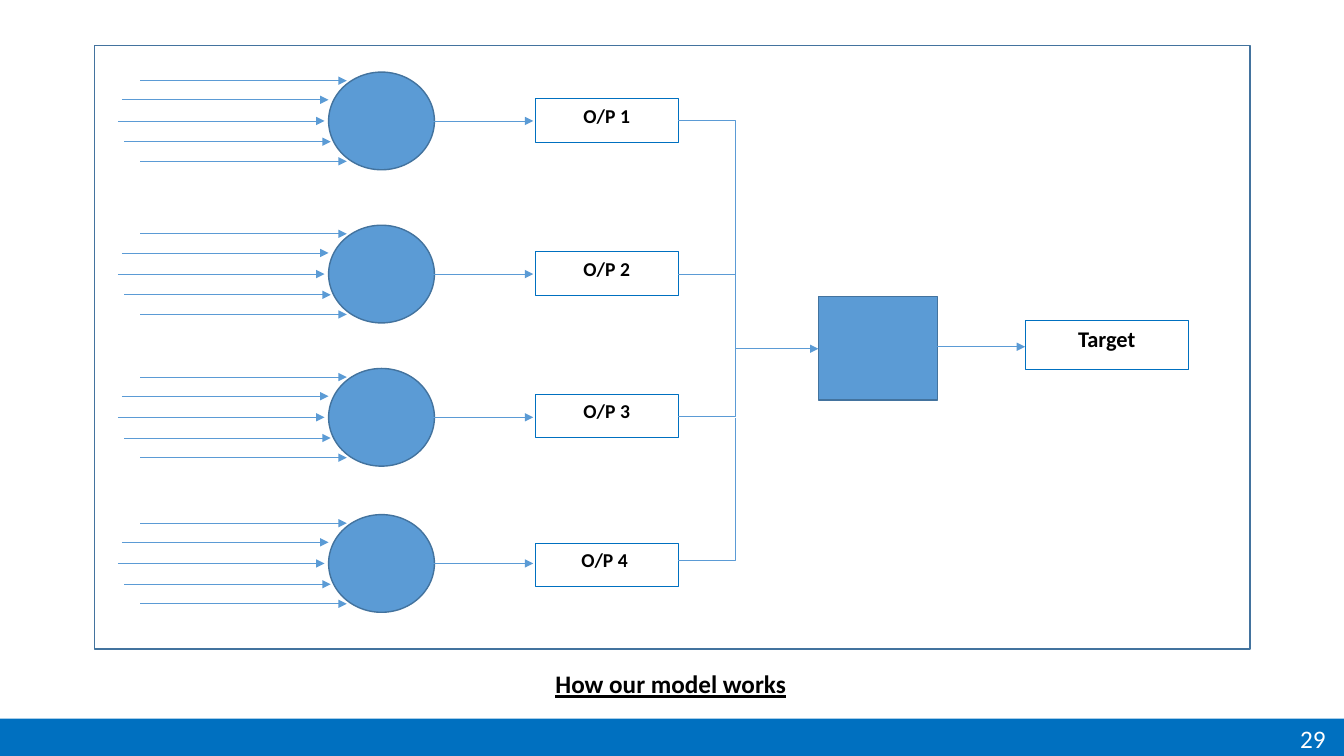
import pptx
import pptx.util
import pptx.dml.color
import pptx.enum.shapes
import pptx.enum.text
import pptx.oxml.ns
import lxml.etree

Pt = pptx.util.Pt
RGBColor = pptx.dml.color.RGBColor
Shape = pptx.enum.shapes.MSO_SHAPE
Connector = pptx.enum.shapes.MSO_CONNECTOR
Align = pptx.enum.text.PP_ALIGN
qn = pptx.oxml.ns.qn

BLUE = RGBColor(0x5B, 0x9B, 0xD5)
EDGE = RGBColor(0x43, 0x73, 0x9E)
BAR = RGBColor(0x00, 0x70, 0xC0)
BLACK = RGBColor(0, 0, 0)
WHITE = RGBColor(255, 255, 255)

CAPTION = "How our model works"
PAGE_NUMBER = "29"
TARGET = "Target"
MODELS = [
    ("O/P 1", 86.4, 70.6),
    ("O/P 2", 195.8, 180),
    ("O/P 3", 298.1, 281.5),
    ("O/P 4 ", 402.5, 388.1),
]
INPUTS = [(100.1, -28.8), (87.1, -15.1), (84.2, 0), (88.6, 14.8), (100.1, 28.8)]

INPUT_LENGTH = 147.6
NODE_LEFT, NODE_WIDTH, NODE_HEIGHT = 234.7, 75.6, 69.8
BOX_LEFT, BOX_WIDTH, BOX_HEIGHT = 382.3, 102.2, 31
BUS_X, JOIN_Y = 525.6, 249.1

deck = pptx.Presentation()
deck.slide_width, deck.slide_height = Pt(960), Pt(540)
page = deck.slides.add_slide(deck.slide_layouts[5])


def add_block(kind, left, top, width, height, fill=None, edge=None, weight=1):
    block = page.shapes.add_shape(kind, Pt(left), Pt(top), Pt(width), Pt(height))
    block.shadow.inherit = False
    if fill is None:
        block.fill.background()
    else:
        block.fill.solid()
        block.fill.fore_color.rgb = fill
    if edge is None:
        block.line.fill.background()
    else:
        block.line.color.rgb = edge
        block.line.width = Pt(weight)
    return block


def write(box, text, size, color, align, bold=False, wrap=True):
    frame = box.text_frame
    frame.text = text
    frame.word_wrap = wrap
    frame.auto_size = pptx.enum.text.MSO_AUTO_SIZE.NONE
    frame.vertical_anchor = pptx.enum.text.MSO_ANCHOR.TOP
    para = frame.paragraphs[0]
    para.alignment = align
    para.font.name = "Calibri"
    para.font.size = Pt(size)
    para.font.bold = bold
    para.font.color.rgb = color
    return para


def add_label(text, left, top, width, height, size):
    box = add_block(Shape.RECTANGLE, left, top, width, height, edge=BAR, weight=0.75)
    write(box, text, size, BLACK, Align.CENTER, bold=True)


def add_line(x1, y1, x2, y2, arrow=True, bent=False):
    kind = Connector.ELBOW if bent else Connector.STRAIGHT
    line = page.shapes.add_connector(kind, Pt(x1), Pt(y1), Pt(x2), Pt(y2))
    line.line.color.rgb = BLUE
    line.line.width = Pt(0.5)
    properties = line._element.spPr
    if bent:
        properties.find(qn("a:prstGeom")).set("prst", "bentConnector2")
    if arrow:
        outline = properties.find(qn("a:ln"))
        lxml.etree.SubElement(outline, qn("a:tailEnd"), type="triangle")
    lxml.etree.SubElement(properties, qn("a:effectLst"))


add_block(Shape.RECTANGLE, 0, 513.4, 960, 26.6, fill=BAR)
number = page.shapes.add_textbox(Pt(918), Pt(513.4), Pt(36), Pt(29))
write(number, PAGE_NUMBER, 18, WHITE, Align.RIGHT)

add_block(Shape.RECTANGLE, 67.7, 32.4, 825.1, 431.3, edge=EDGE)

for name, middle, box_top in MODELS:
    add_block(Shape.OVAL, NODE_LEFT, middle - NODE_HEIGHT / 2, NODE_WIDTH, NODE_HEIGHT,
              fill=BLUE, edge=EDGE)
    for start, offset in INPUTS:
        add_line(start, middle + offset, start + INPUT_LENGTH, middle + offset)
    add_line(NODE_LEFT + NODE_WIDTH / 2, middle, BOX_LEFT - 1.4, middle)
    add_label(name, BOX_LEFT, box_top, BOX_WIDTH, BOX_HEIGHT, 14)

box_right = BOX_LEFT + BOX_WIDTH
for start_y, end_y in [(85.7, 201.6), (297.4, 195.8), (400.3, 298.8)]:
    add_line(box_right, start_y, BUS_X, end_y, arrow=False, bent=True)
add_line(box_right, 195.8, BUS_X, 195.8, arrow=False)

add_block(Shape.RECTANGLE, 584.6, 211.7, 85, 74.2, fill=BLUE, edge=EDGE)
add_line(BUS_X, JOIN_Y, 584.6, JOIN_Y)
add_line(645.8, 247.7, 732.2, 247.7)
add_label(TARGET, 732.2, 229, 116.6, 34.6, 16)

caption = page.shapes.title
caption.left, caption.top, caption.width, caption.height = Pt(389.5), Pt(473.8), Pt(180.7), Pt(29)
write(caption, CAPTION, 18, BLACK, Align.LEFT, bold=True, wrap=False).font.underline = True

deck.save("out.pptx")
